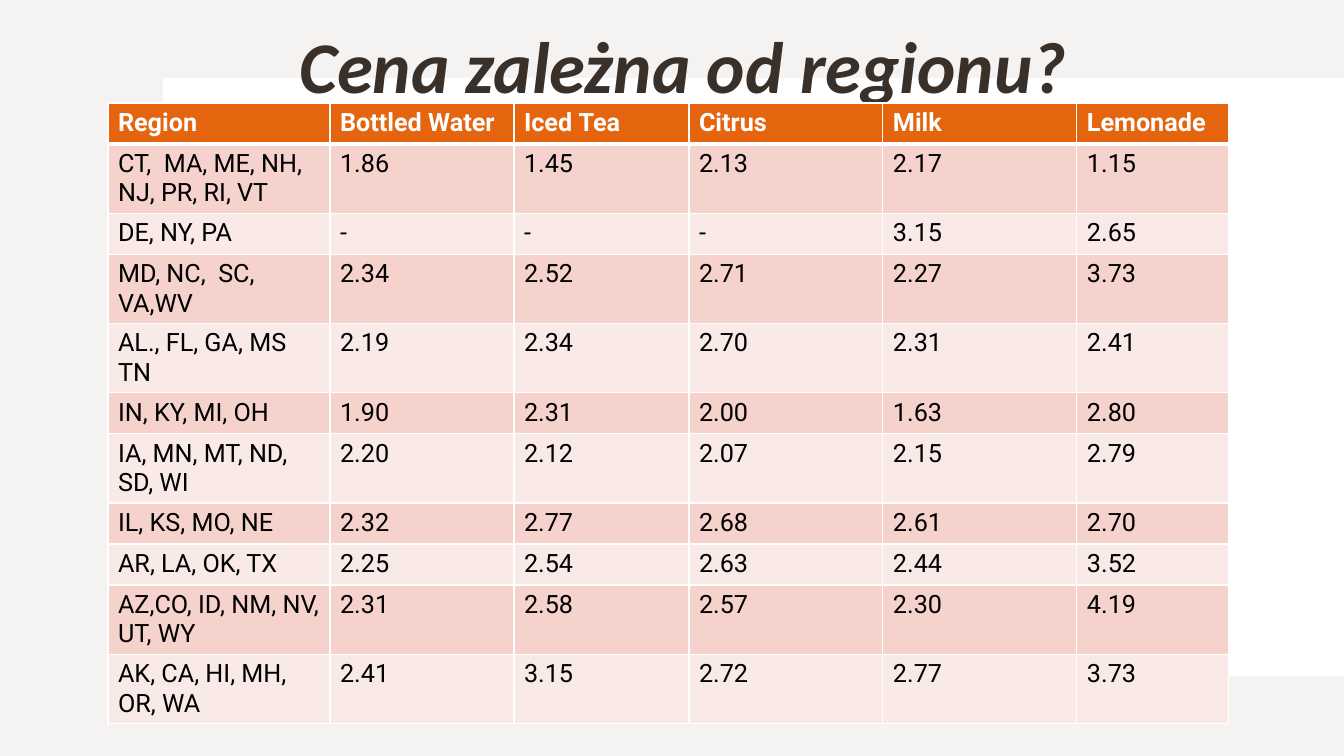
from lxml import etree
from pptx import Presentation
from pptx.dml.color import RGBColor
from pptx.enum.shapes import MSO_SHAPE
from pptx.enum.text import MSO_ANCHOR, MSO_AUTO_SIZE, PP_ALIGN
from pptx.oxml import parse_xml
from pptx.oxml.ns import nsdecls, qn
from pptx.util import Emu, Pt

RECT = MSO_SHAPE.RECTANGLE
BOTTOM, CENTER = MSO_ANCHOR.BOTTOM, PP_ALIGN.CENTER
NO_FIT = MSO_AUTO_SIZE.NONE
COLORS = {
    "backdrop": "E5DEDB", "white": "FFFFFF", "title": "39302A",
    "header": "E4650E", "odd": "F5D3CC", "even": "FAEAE7", "text": "000000",
}


def px(n):
    return Emu(round(n * 914400 / 100.8))


def rgb(name):
    return RGBColor.from_string(COLORS[name])


prs = Presentation()
prs.slide_width, prs.slide_height = px(1344), px(756)
slide = prs.slides.add_slide(prs.slide_layouts[5])
shapes = slide.shapes
title = shapes.title

panels = [("backdrop", 35, 0, 0, 1344, 756), ("white", 100, 163, 78, 1181, 598)]
for color, opacity, x, y, w, h in panels:
    sp = shapes.add_shape(RECT, px(x), px(y), px(w), px(h))
    sp.shadow.inherit = False
    sp.fill.solid()
    sp.fill.fore_color.rgb = rgb(color)
    sp.line.fill.background()
    if opacity < 100:
        clr = sp.fill._xPr.find(".//" + qn("a:srgbClr"))
        etree.SubElement(clr, qn("a:alpha"), val=str(opacity * 1000))
    title._element.addprevious(sp._element)

title.left, title.top, title.width, title.height = px(179), px(6), px(1008), px(108)
tf = title.text_frame
tf.text = "Cena zależna od regionu?"
tf.word_wrap = True
tf.auto_size = NO_FIT
tf.vertical_anchor = BOTTOM
p = tf.paragraphs[0]
p.alignment = CENTER
p.line_spacing = 0.9
p.font.name, p.font.size = "Calibri", Pt(52)
p.font.bold = p.font.italic = True
p.font.color.rgb = rgb("title")

prices = [
    ["Region", "Bottled\u00a0Water", "Iced\u00a0Tea", "Citrus", "Milk", "Lemonade"],
    ["CT,\u00a0 MA, ME, NH, NJ, PR, RI, VT", "1.86", "1.45", "2.13", "2.17", "1.15"],
    ["DE, NY, PA", "-", "-", "-", "3.15", "2.65"],
    ["MD, NC,\u00a0\u00a0SC, VA,WV\u00a0", "2.34", "2.52", "2.71", "2.27", "3.73"],
    ["AL., FL, GA, MS TN", "2.19", "2.34", "2.70", "2.31", "2.41"],
    ["IN, KY, MI, OH", "1.90", "2.31", "2.00", "1.63", "2.80"],
    ["IA, MN, MT, ND, SD, WI", "2.20", "2.12", "2.07", "2.15", "2.79"],
    ["IL, KS, MO, NE", "2.32", "2.77", "2.68", "2.61", "2.70"],
    ["AR, LA, OK, TX", "2.25", "2.54", "2.63", "2.44", "3.52"],
    ["AZ,CO, ID, NM, NV, UT, WY", "2.31", "2.58", "2.57", "2.30", "4.19"],
    ["AK, CA, HI, MH, OR, WA", "2.41", "3.15", "2.72", "2.77", "3.73"],
]
widths = [222, 184, 175, 194, 194, 152]
frame = shapes.add_table(len(prices), len(widths), px(108), px(103), px(sum(widths)), px(628))
table = frame.table
for column, width in zip(table.columns, widths):
    column.width = px(width)

for i, values in enumerate(prices):
    table.rows[i].height = px(41)
    header = i == 0
    fill = "header" if header else "odd" if i % 2 else "even"
    for j, value in enumerate(values):
        cell = table.cell(i, j)
        tcPr = cell._tc.get_or_add_tcPr()
        for side in "LRTB":
            thick = (header and side == "B") or (i == 1 and side == "T")
            tcPr.append(parse_xml(
                f'<a:ln{side} {nsdecls("a")} w="{Pt(3 if thick else 1)}"><a:solidFill>'
                f'<a:srgbClr val="{COLORS["white"]}"/></a:solidFill></a:ln{side}>'))
        cell.fill.solid()
        cell.fill.fore_color.rgb = rgb(fill)
        cell.text = value
        p = cell.text_frame.paragraphs[0]
        p.font.name, p.font.size, p.font.bold = "Roboto", Pt(18), header
        p.font.color.rgb = rgb("white" if header else "text")
frame.height = px(628)

prs.save("out.pptx")
